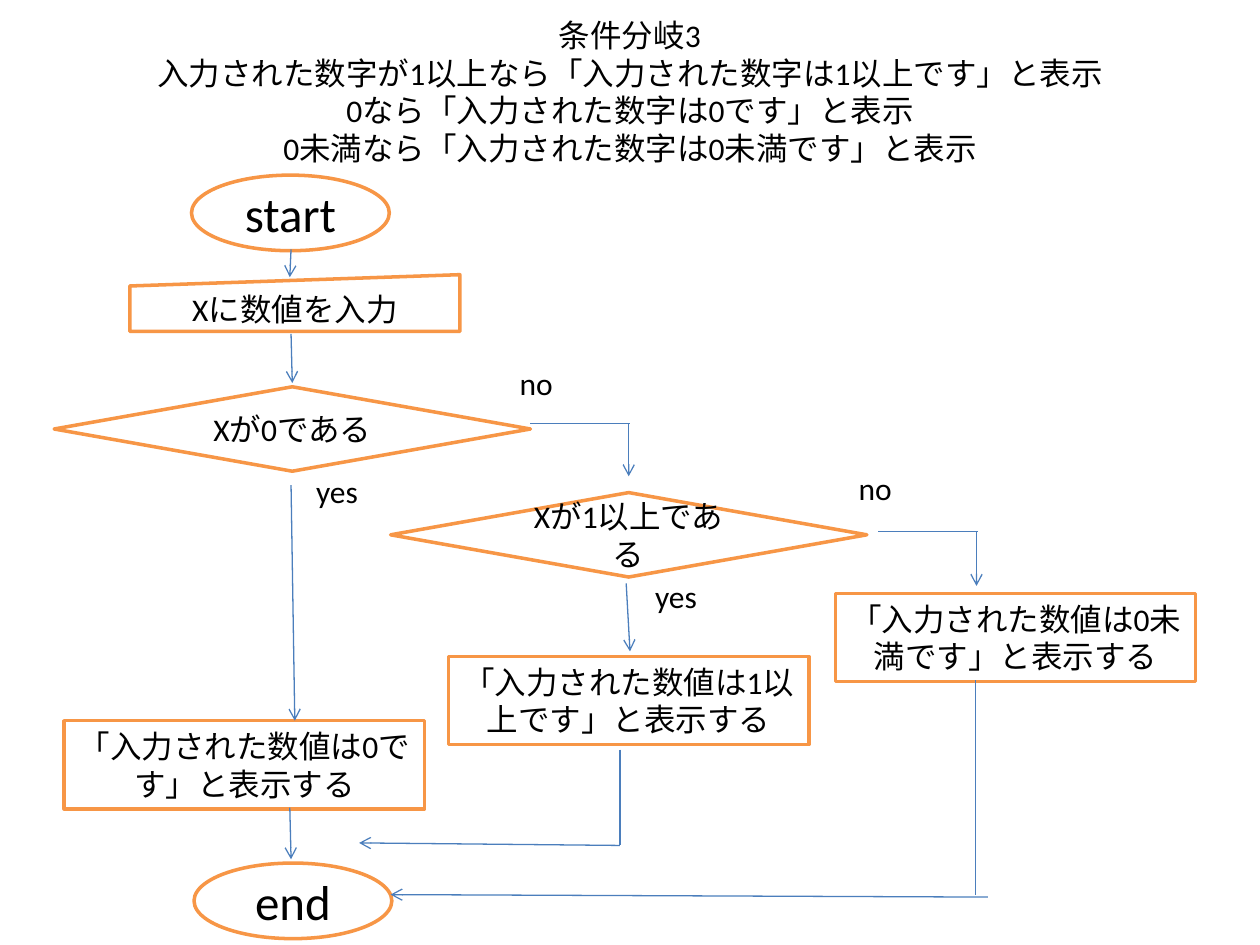
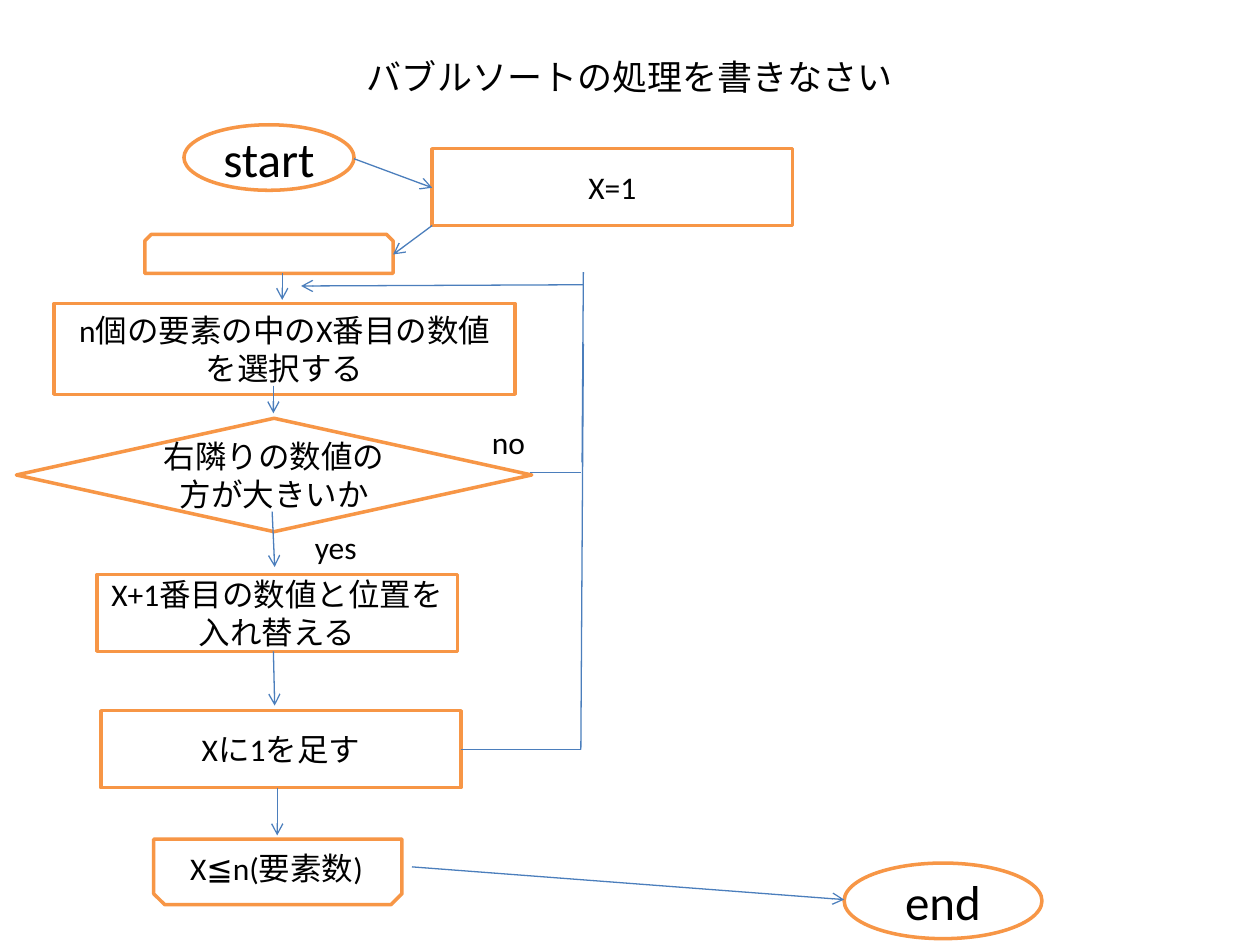
"""Build two flowchart slides: a three-way branch and a bubble sort."""
import pptx
import pptx.util
import pptx.dml.color
import pptx.enum.shapes
import pptx.enum.text
import pptx.oxml
import pptx.oxml.ns
import pptx.oxml.xmlchemy

COLORS = {"paper": "FFFFFF", "outline": "F79646", "arrow": "4B7EBC", "text": "000000"}
FONT = "Calibri"
TITLE_LEFT, TITLE_TOP, TITLE_WIDTH = 0.5, 0.22, 9
BODY_SIZE = 18
SHAPE = pptx.enum.shapes.MSO_SHAPE

KINDS = {
    "terminal": (SHAPE.OVAL, 1.57, 0.6, 28),
    "input": (SHAPE.FLOWCHART_MANUAL_INPUT, 2.62, 0.45, BODY_SIZE),
    "decision": (SHAPE.FLOWCHART_DECISION, 3.78, 0.67, BODY_SIZE),
    "output": (SHAPE.RECTANGLE, 2.86, 0.7, BODY_SIZE),
    "step": (SHAPE.RECTANGLE, 2.86, 0.61, BODY_SIZE),
    "loop": (SHAPE.SNIP_2_SAME_RECTANGLE, 1.97, 0.52, BODY_SIZE),
}
LABEL_SIZE = (1.21, 0.56)

BRANCH = {
    "title": (
        "条件分岐3",
        "入力された数字が1以上なら「入力された数字は1以上です」と表示",
        "0なら「入力された数字は0です」と表示",
        "0未満なら「入力された数字は0未満です」と表示",
    ),
    "title_height": 1.01,
    "title_size": 18,
    "nodes": [
        {"kind": "terminal", "at": (1.52, 1.39), "text": "start"},
        {"kind": "terminal", "at": (1.54, 6.85), "text": "end"},
        {"kind": "input", "at": (1.03, 2.18), "text": "Xに数値を入力"},
        {"kind": "decision", "at": (0.43, 3.07), "text": "Xが0である"},
        {"kind": "decision", "at": (3.1, 3.91), "text": "Xが1以上である"},
        {"kind": "output", "at": (0.51, 5.72), "text": "「入力された数値は0です」と表示する"},
        {"kind": "output", "at": (3.56, 5.21), "text": "「入力された数値は1以上です」と表示する"},
        {"kind": "output", "at": (6.63, 4.71), "text": "「入力された数値は0未満です」と表示する"},
    ],
    "labels": [
        {"at": (2.07, 3.62), "text": "yes"},
        {"at": (3.65, 2.76), "text": "no"},
        {"at": (4.76, 4.45), "text": "yes"},
        {"at": (6.34, 3.59), "text": "no"},
    ],
    "arrows": [
        ((2.31, 1.98), (2.3, 2.2)),
        ((2.31, 2.65), (2.32, 3.04)),
        ((2.31, 3.85), (2.34, 5.72)),
        ((2.3, 6.41), (2.31, 6.82)),
        ((4.99, 3.36), (4.99, 3.78)),
        ((7.75, 4.22), (7.75, 4.65)),
        ((4.97, 4.63), (5, 5.17)),
        ((4.92, 6.71), (2.85, 6.69)),
        ((7.84, 7.12), (3.1, 7.1)),
    ],
    "lines": [
        ((4.21, 3.36), (5, 3.36)),
        ((6.97, 4.22), (7.76, 4.22)),
        ((7.74, 5.4), (7.74, 7.1)),
        ((4.92, 5.95), (4.92, 6.71)),
    ],
}

BUBBLE_SORT = {
    "title": ("バブルソートの処理を書きなさい",),
    "title_height": 0.77,
    "title_size": 20,
    "nodes": [
        {"kind": "terminal", "at": (1.46, 0.99), "size": (1.35, 0.52), "text": "start"},
        {"kind": "terminal", "at": (6.7, 6.85), "text": "end"},
        {"kind": "step", "at": (3.43, 1.18), "text": "X=1"},
        {"kind": "loop", "at": (1.15, 1.86), "size": (1.97, 0.31)},
        {"kind": "step", "at": (0.43, 2.41), "size": (3.66, 0.72),
         "text": "n個の要素の中のX番目の数値を選択する"},
        {"kind": "decision", "at": (0.13, 3.32), "size": (4.09, 0.9),
         "text": "右隣りの数値の方が大きいか"},
        {"kind": "step", "at": (0.77, 4.56), "text": "X+1番目の数値と位置を入れ替える"},
        {"kind": "step", "at": (0.8, 5.64), "text": "Xに1を足す"},
        {"kind": "loop", "at": (1.22, 6.66), "rotation": 180},
    ],
    "labels": [
        {"at": (2.06, 4.06), "text": "yes"},
        {"at": (3.43, 3.23), "text": "no"},
        {"at": (1.21, 6.63), "size": (1.97, 0.51), "text": "X≦n(要素数)"},
    ],
    "arrows": [
        ((2.81, 1.26), (3.43, 1.49)),
        ((3.43, 1.79), (3.12, 2.02)),
        ((2.24, 2.17), (2.24, 2.38)),
        ((4.63, 2.26), (2.39, 2.27)),
        ((2.17, 3.06), (2.17, 3.28)),
        ((2.16, 4.06), (2.18, 4.5)),
        ((2.17, 5.17), (2.18, 5.6)),
        ((2.2, 6.25), (2.2, 6.63)),
        ((3.27, 6.88), (6.7, 7.14)),
    ],
    "lines": [
        ((4.21, 3.75), (4.61, 3.75)),
        ((3.66, 5.95), (4.61, 5.95)),
        ((4.63, 2.16), (4.62, 3.67)),
        ((4.63, 2.73), (4.61, 5.95)),
    ],
}


def color(name):
    return pptx.dml.color.RGBColor.from_string(COLORS[name])


def inches(*lengths):
    return [pptx.util.Inches(length) for length in lengths]


def write(shape, rows, size):
    frame = shape.text_frame
    frame.word_wrap = True
    frame.vertical_anchor = pptx.enum.text.MSO_ANCHOR.MIDDLE
    para = frame.paragraphs[0]
    para.alignment = pptx.enum.text.PP_ALIGN.CENTER
    for index, row in enumerate(rows):
        if index:
            para.add_line_break()
        span = para.add_run()
        span.text = row
        span.font.name = FONT
        span.font.size = pptx.util.Pt(size)
        span.font.color.rgb = color("text")


def add_text(page, at, size, rows, points=BODY_SIZE):
    write(page.shapes.add_textbox(*inches(*at, *size)), rows, points)


def add_node(page, node):
    preset, width, height, points = KINDS[node["kind"]]
    size = node.get("size", (width, height))
    box = page.shapes.add_shape(preset, *inches(*node["at"], *size))
    box.shadow.inherit = False
    box.rotation = node.get("rotation", 0)
    box.fill.solid()
    box.fill.fore_color.rgb = color("paper")
    box.line.color.rgb = color("outline")
    box.line.width = pptx.util.Pt(2)
    if "text" in node:
        write(box, [node["text"]], points)


def add_line(page, start, end, arrow=False):
    straight = pptx.enum.shapes.MSO_CONNECTOR.STRAIGHT
    line = page.shapes.add_connector(straight, *inches(*start, *end))
    line.line.color.rgb = color("arrow")
    line.line.width = pptx.util.Pt(0.75)
    properties = line._element.spPr
    if arrow:
        tail = pptx.oxml.xmlchemy.OxmlElement("a:tailEnd")
        tail.set("type", "arrow")
        properties.find(pptx.oxml.ns.qn("a:ln")).append(tail)
    properties.append(pptx.oxml.xmlchemy.OxmlElement("a:effectLst"))


def add_flowchart(deck, chart):
    page = deck.slides.add_slide(deck.slide_layouts[6])
    add_text(page, (TITLE_LEFT, TITLE_TOP), (TITLE_WIDTH, chart["title_height"]),
             chart["title"], chart["title_size"])
    for node in chart["nodes"]:
        add_node(page, node)
    for label in chart["labels"]:
        add_text(page, label["at"], label.get("size", LABEL_SIZE), [label["text"]])
    for start, end in chart["lines"]:
        add_line(page, start, end)
    for start, end in chart["arrows"]:
        add_line(page, start, end, arrow=True)


deck = pptx.Presentation()
deck.slide_width, deck.slide_height = inches(10, 7.5)
for flowchart in (BRANCH, BUBBLE_SORT):
    add_flowchart(deck, flowchart)
deck.save("out.pptx")
